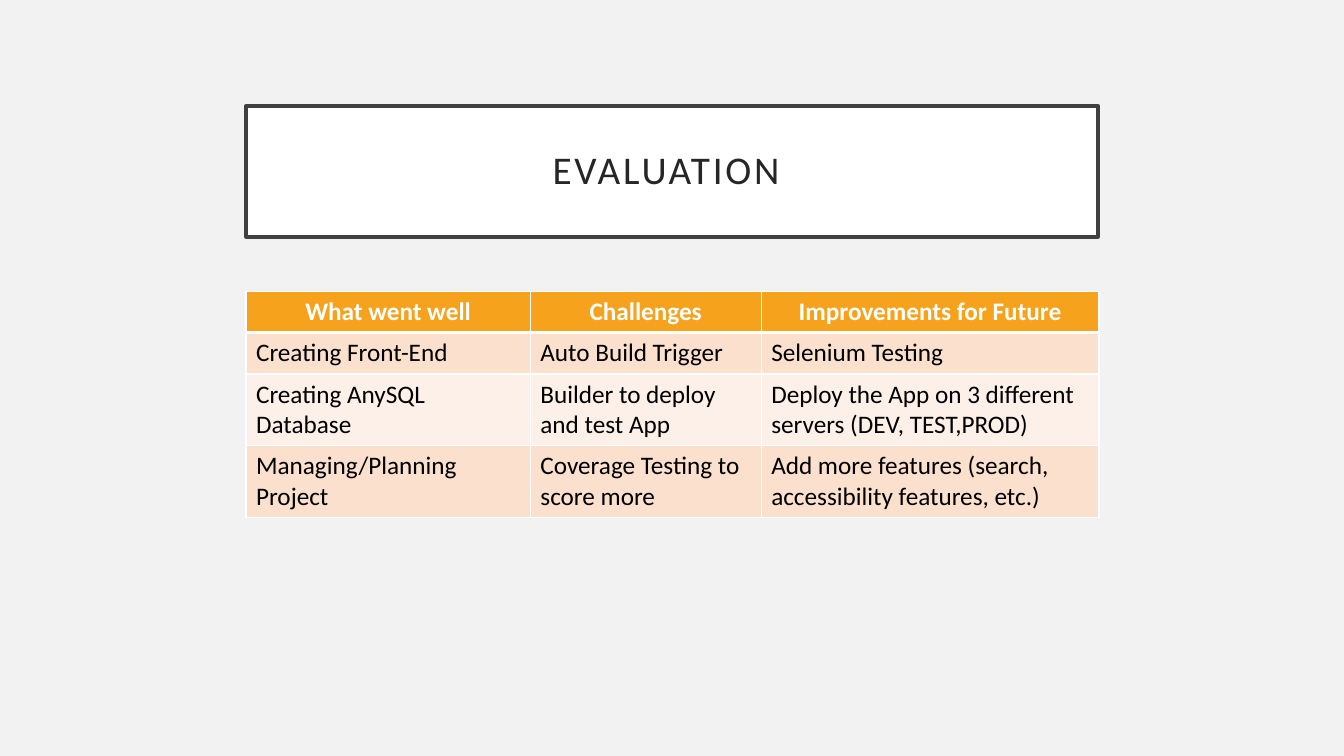
"""Build the project evaluation slide."""
from dataclasses import dataclass

from lxml.etree import SubElement
from pptx import Presentation
from pptx.dml.color import RGBColor as RGB
from pptx.enum.text import MSO_ANCHOR as Anchor, MSO_AUTO_SIZE as AutoSize, PP_ALIGN as Align
from pptx.oxml.ns import qn
from pptx.util import Inches, Pt


@dataclass(frozen=True)
class Theme:
    """Colours, font and type sizes."""
    font: str = "Calibri"
    background: str = "F2F2F2"
    panel: str = "FFFFFF"
    frame: str = "404040"
    title: str = "262626"
    header: str = "F6A21D"
    header_text: str = "FFFFFF"
    body_text: str = "000000"
    bands: tuple = ("FBE0CD", "FDF0E8")
    grid: str = "FFFFFF"
    title_size: int = 28
    table_size: int = 18


class SlideBuilder:
    """Holds the theme and the current slide."""

    def __init__(self, presentation, theme):
        """Add a title-only slide with a plain background."""
        self.theme = theme
        self.slide = presentation.slides.add_slide(presentation.slide_layouts[5])
        self.paint(self.slide.background.fill, theme.background)

    def paint(self, fill, color):
        """Apply a solid fill."""
        fill.solid()
        fill.fore_color.rgb = RGB.from_string(color)

    def apply(self, target, values):
        """Set attributes from a dict of format values."""
        for name, value in values.items():
            setattr(target, name, value)

    def add_text(self, frame, text, size, color, align, bold=False):
        """Fill a text frame with one styled run."""
        paragraph = frame.paragraphs[0]
        paragraph.alignment = align
        run = paragraph.add_run()
        run.text = text
        self.apply(run.font, {"name": self.theme.font, "size": Pt(size), "bold": bold})
        run.font.color.rgb = RGB.from_string(color)
        return paragraph, run

    def title(self, text, left, top, width, height):
        """Place the framed title."""
        theme = self.theme
        shape = self.slide.shapes.title
        self.apply(shape, {"left": Inches(left), "top": Inches(top),
                           "width": Inches(width), "height": Inches(height)})
        self.paint(shape.fill, theme.panel)
        self.paint(shape.line.fill, theme.frame)
        shape.line.width = Pt(2.5)
        frame = shape.text_frame
        margins = {f"margin_{side}": Inches(0.2) for side in ("left", "top", "right", "bottom")}
        self.apply(frame, {**margins, "word_wrap": True, "auto_size": AutoSize.NONE,
                           "vertical_anchor": Anchor.MIDDLE})
        paragraph, run = self.add_text(frame, text, theme.title_size, theme.title, Align.CENTER)
        paragraph.line_spacing = 0.9
        run._r.get_or_add_rPr().set("spc", "200")

    def borders(self, cell, top, bottom):
        """Draw the four borders of a cell."""
        properties = cell._tc.get_or_add_tcPr()
        widths = {"lnL": 1, "lnR": 1, "lnT": top, "lnB": bottom}
        for position, (tag, width) in enumerate(widths.items()):
            line = SubElement(properties, qn(f"a:{tag}"), w=str(Pt(width)))
            fill = SubElement(line, qn("a:solidFill"))
            SubElement(fill, qn("a:srgbClr"), val=self.theme.grid)
            properties.insert(position, line)

    def table(self, rows, left, top, widths, heights):
        """Add a table with a header row and banded body rows."""
        theme = self.theme
        table = self.slide.shapes.add_table(
            len(rows), len(widths), Inches(left), Inches(top),
            Inches(sum(widths)), Inches(sum(heights))).table
        for column, width in zip(table.columns, widths):
            column.width = Inches(width)
        for index, (row, height, texts) in enumerate(zip(table.rows, heights, rows)):
            row.height = Inches(height)
            header = index == 0
            fill = theme.header if header else theme.bands[(index - 1) % 2]
            color = theme.header_text if header else theme.body_text
            align = Align.CENTER if header else Align.LEFT
            for cell, text in zip(row.cells, texts):
                self.paint(cell.fill, fill)
                self.borders(cell, 3 if index == 1 else 1, 3 if header else 1)
                self.add_text(cell.text_frame, text, theme.table_size, color, align, header)


def main():
    """Build and save the presentation."""
    presentation = Presentation()
    presentation.slide_width = Inches(13.33)
    presentation.slide_height = Inches(7.5)
    builder = SlideBuilder(presentation, Theme())
    builder.title("EVALUATION ", 2.44, 1.05, 8.45, 1.3)
    rows = [
        ("What went well", "Challenges", "Improvements for Future"),
        ("Creating Front-End", "Auto Build Trigger", "Selenium Testing"),
        ("Creating AnySQL Database", "Builder to deploy and test App",
         "Deploy the App on 3 different servers (DEV, TEST,PROD)"),
        ("Managing/Planning Project", "Coverage Testing to score more",
         "Add more features (search, accessibility features, etc.)"),
    ]
    builder.table(rows, 2.44, 2.89, (2.82, 2.29, 3.35), (0.41, 0.41, 0.71, 0.71))
    presentation.save("out.pptx")


if __name__ == "__main__":
    main()
